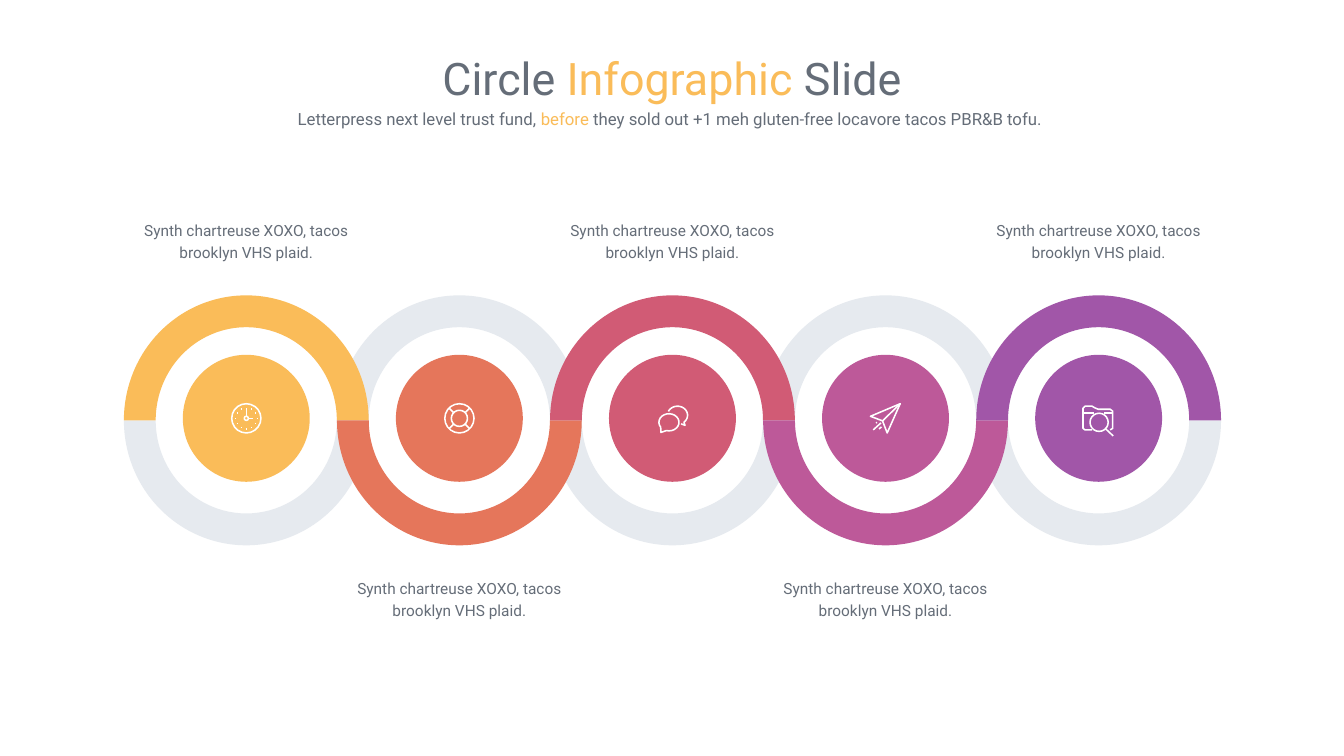
from math import cos, radians, sin

from pptx import Presentation
from pptx.dml.color import RGBColor
from pptx.enum.shapes import MSO_SHAPE
from pptx.enum.text import MSO_ANCHOR, MSO_AUTO_SIZE, PP_ALIGN
from pptx.util import Inches, Pt

OVAL = MSO_SHAPE.OVAL
BLOCK_ARC = MSO_SHAPE.BLOCK_ARC
CENTER = PP_ALIGN.CENTER
TOP = MSO_ANCHOR.TOP
NO_AUTOFIT = MSO_AUTO_SIZE.NONE
color = RGBColor.from_string

FONT = "Roboto"
TEXT = "656D78"
ACCENT = "FABC59"
PALE = "E6EAEF"
WHITE = "FFFFFF"
STEP_COLORS = ["FABC59", "E5765B", "D15B75", "BD5999", "A156A8"]
FIRST_CENTER, PITCH = 2.445, 2.115
UPPER, LOWER = (108, 0), (0, 108)
CALLOUT = "Synth chartreuse XOXO, tacos brooklyn VHS plaid."


def arc(x, y, radius_x, radius_y, start=0, end=360):
    steps = 20
    angles = [radians(start + (end - start) * n / steps) for n in range(steps + 1)]
    return [(x + radius_x * cos(a), y + radius_y * sin(a)) for a in angles]


def add_solid(kind, left, top, width, height, tint):
    shape = slide.shapes.add_shape(kind, *map(Inches, (left, top, width, height)))
    shape.shadow.inherit = False
    shape.fill.solid()
    shape.fill.fore_color.rgb = color(tint)
    shape.line.fill.background()
    return shape


deck = Presentation()
deck.slide_width, deck.slide_height = Inches(13.34), Inches(7.5)
slide = deck.slides.add_slide(deck.slide_layouts[0])

title, subtitle = slide.placeholders
headings = [
    (title, (2.54, 0.45, 8.26, 0.64), 32,
     [("Circle ", TEXT), ("Infographic ", ACCENT), ("Slide", TEXT)]),
    (subtitle, (2.3, 1.03, 8.7, 0.3), 12,
     [("Letterpress next level trust fund, ", TEXT), ("before", ACCENT),
      (" they sold out +1 meh gluten-free locavore tacos PBR&B tofu.", TEXT)]),
]
for box, place, size, spans in headings:
    box.left, box.top, box.width, box.height = map(Inches, place)
    frame = box.text_frame
    frame.auto_size = NO_AUTOFIT
    frame.vertical_anchor = TOP
    para = frame.paragraphs[0]
    para.alignment = CENTER
    para.space_before = Pt(0)
    for words, tint in spans:
        span = para.add_run()
        span.text = words
        span.font.name = FONT
        span.font.size = Pt(size)
        span.font.color.rgb = color(tint)

centers = [FIRST_CENTER + PITCH * n for n in range(len(STEP_COLORS))]
halves = [(x, UPPER if n % 2 else LOWER, PALE) for n, x in enumerate(centers)]
halves += [(x, LOWER if n % 2 else UPPER, tint)
           for n, (x, tint) in enumerate(zip(centers, STEP_COLORS))]
for x, (start, end), tint in halves:
    half_ring = add_solid(BLOCK_ARC, x - 1.215, 2.93, 2.43, 2.48, tint)
    half_ring.adjustments[0] = start
    half_ring.adjustments[1] = end
    half_ring.adjustments[2] = 0.13

clock = [
    arc(2.445, 4.15, 0.145, 0.145),
    arc(2.445, 4.15, 0.02, 0.02),
    [(2.445, 4.05), (2.445, 4.13)],
    [(2.465, 4.15), (2.515, 4.15)],
]
for angle in range(-60, 270, 30):
    x = 2.445 + 0.105 * cos(radians(angle))
    y = 4.15 + 0.105 * sin(radians(angle))
    clock.append([(x - 0.004, y), (x + 0.004, y)])

life_ring = [arc(4.56, 4.15, 0.145, 0.145), arc(4.56, 4.15, 0.08, 0.08)]
for angle in range(45, 360, 90):
    dx, dy = cos(radians(angle)), sin(radians(angle))
    life_ring.append([(4.56 + r * dx, 4.15 + r * dy) for r in (0.08, 0.145)])

front_bubble = arc(6.64, 4.19, 0.1, 0.085, 145, 465)
chat = [
    front_bubble + [(6.56, 4.29), front_bubble[0]],
    arc(6.725, 4.12, 0.1, 0.09, 205, 410) + [(6.8, 4.22), (6.76, 4.205)],
]

plane = [
    [(8.64, 4.13), (8.935, 4.005), (8.806, 4.295), (8.76, 4.175), (8.64, 4.13)],
    [(8.76, 4.175), (8.935, 4.005)],
    [(8.725, 4.255), (8.75, 4.235)],
    [(8.667, 4.265), (8.745, 4.195)],
    [(8.695, 4.197), (8.705, 4.19)],
]

folder_search = [
    [(10.84, 4.265), (10.77, 4.265), (10.75, 4.25), (10.75, 4.05), (10.77, 4.03),
     (10.84, 4.03), (10.865, 4.045), (10.9, 4.06), (11.02, 4.06), (11.045, 4.08),
     (11.045, 4.25), (11.02, 4.265)],
    [(10.75, 4.1), (10.86, 4.1)],
    [(10.96, 4.1), (11.045, 4.1)],
    arc(10.91, 4.19, 0.09, 0.09),
    [(10.975, 4.255), (11.05, 4.325)],
]

icons = [clock, life_ring, chat, plane, folder_search]
for n, (x, tint, strokes) in enumerate(zip(centers, STEP_COLORS, icons)):
    add_solid(OVAL, x - 0.63, 3.52, 1.26, 1.26, tint)

    outlines = [[(Inches(px), Inches(py)) for px, py in stroke] for stroke in strokes]
    builder = slide.shapes.build_freeform(*outlines[0][0])
    builder.add_line_segments(outlines[0][1:], close=False)
    for outline in outlines[1:]:
        builder.move_to(*outline[0])
        builder.add_line_segments(outline[1:], close=False)
    icon = builder.convert_to_shape()
    icon.shadow.inherit = False
    icon.fill.background()
    icon.line.color.rgb = color(WHITE)
    icon.line.width = Pt(1.1)

    top = 5.71 if n % 2 else 2.16
    box = slide.shapes.add_textbox(
        Inches(x - 1.19), Inches(top), Inches(2.38), Inches(0.47))
    frame = box.text_frame
    frame.word_wrap = True
    frame.margin_left = frame.margin_right = frame.margin_top = frame.margin_bottom = 0
    para = frame.paragraphs[0]
    para.text = CALLOUT
    para.alignment = CENTER
    para.line_spacing = 1.2
    para.font.name = FONT
    para.font.size = Pt(11)
    para.font.color.rgb = color(TEXT)

deck.save("out.pptx")
